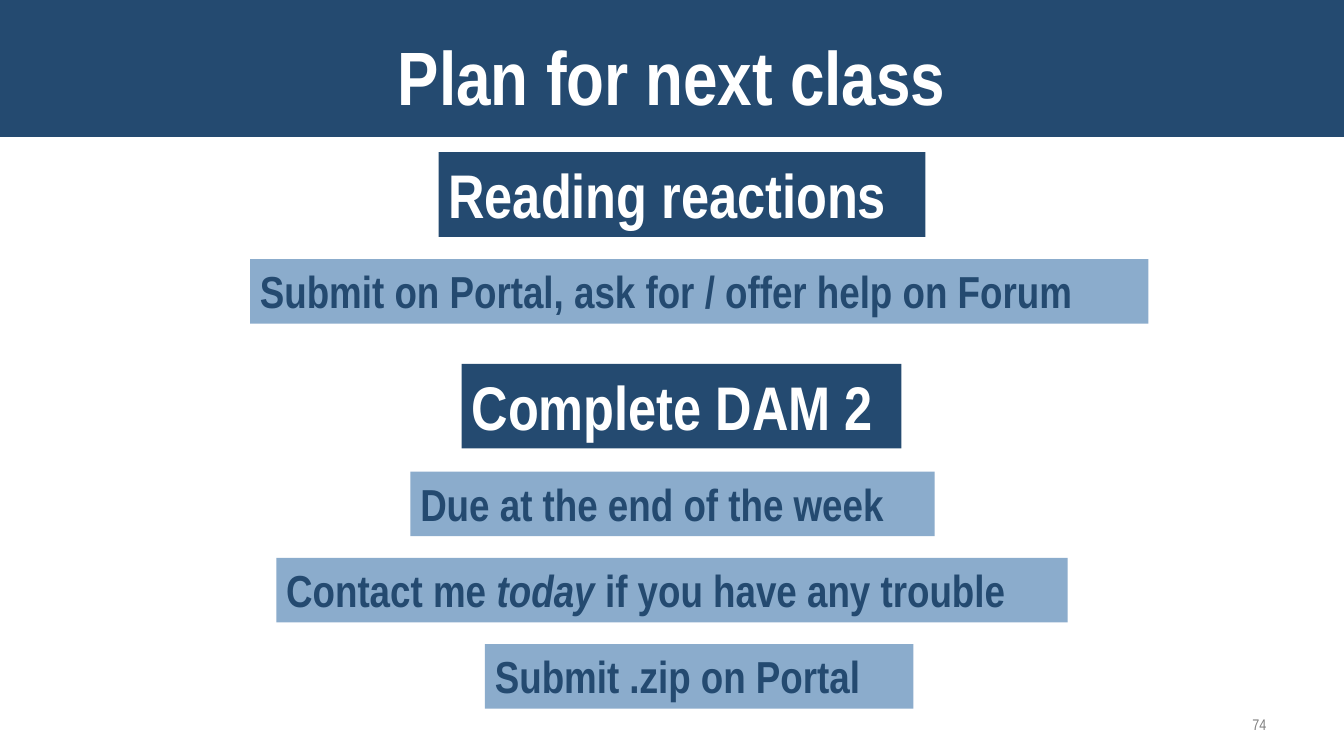
"""Build the slide that lists the plan for the next class."""
from pptx import Presentation
from pptx.dml.color import RGBColor
from pptx.enum.shapes import MSO_SHAPE as Shape
from pptx.enum.text import MSO_ANCHOR as Anchor, PP_ALIGN as Align
from pptx.util import Inches, Pt

COLORS = {"navy": "244A70", "sky": "8BACCC", "white": "FFFFFF", "gray": "808080"}
FORMATS = {
    "title": {"size": Pt(54), "bold": True, "color": "white"},
    "heading": {"size": Pt(44), "bold": True, "color": "white"},
    "detail": {"size": Pt(32), "bold": True, "color": "navy"},
    "number": {"size": Pt(11), "bold": False, "color": "gray"},
}


class PlanSlide:
    """Holds the text style and the slide being built."""

    def __init__(self, slide, font_name):
        self.slide = slide
        self.font_name = font_name

    def paint(self, fill, color):
        fill.solid()
        fill.fore_color.rgb = RGBColor.from_string(COLORS[color])

    def band(self, left, top, width, height, color):
        band = self.slide.shapes.add_shape(
            Shape.RECTANGLE, *map(Inches, (left, top, width, height)))
        band.shadow.inherit = False
        self.paint(band.fill, color)
        band.line.fill.background()

    def text(self, left, top, width, height, runs, style,
             align=Align.LEFT, anchor=Anchor.TOP):
        box = self.slide.shapes.add_textbox(
            *map(Inches, (left, top, width, height)))
        frame = box.text_frame
        frame.word_wrap = True
        frame.vertical_anchor = anchor
        paragraph = frame.paragraphs[0]
        paragraph.alignment = align
        for words, italic in runs:
            run = paragraph.add_run()
            run.text = words
            values = {**FORMATS[style], "name": self.font_name, "italic": italic}
            color = values.pop("color")
            for attribute, value in values.items():
                setattr(run.font, attribute, value)
            run.font.color.rgb = RGBColor.from_string(COLORS[color])
        return box

    def heading(self, left, top, width, words):
        box = self.text(left, top, width, 0.84, [(words, False)], "heading")
        self.paint(box.fill, "navy")

    def detail(self, left, top, width, *runs):
        box = self.text(left, top, width, 0.64, runs, "detail")
        self.paint(box.fill, "sky")


def main():
    deck = Presentation()
    deck.slide_width, deck.slide_height = Inches(13.33), Inches(7.5)
    plan = PlanSlide(deck.slides.add_slide(deck.slide_layouts[6]), "Arial Narrow")

    plan.band(0, 0, 13.33, 1.36, "navy")
    plan.text(0, -0.11, 13.33, 1.36, [("Plan for next class", False)], "title",
              Align.CENTER, Anchor.BOTTOM)

    plan.heading(4.35, 1.51, 4.83, "Reading reactions")
    plan.detail(2.48, 2.57, 8.91,
                ("Submit on Portal, ask for / offer help on Forum", False))

    plan.heading(4.58, 3.61, 4.36, "Complete DAM 2")
    tasks = [
        (4.07, 5.2, [("Due at the end of the week", False)]),
        (2.74, 7.85, [("Contact me ", False), ("today", True),
                      (" if you have any trouble", False)]),
        (4.81, 4.25, [("Submit .zip on Portal", False)]),
    ]
    for row, (left, width, runs) in enumerate(tasks):
        plan.detail(left, 4.68 + 0.855 * row, width, *runs)

    plan.text(11.42, 7.05, 1.24, 0.24, [("74", False)], "number", Align.RIGHT)
    deck.save("out.pptx")


if __name__ == "__main__":
    main()
